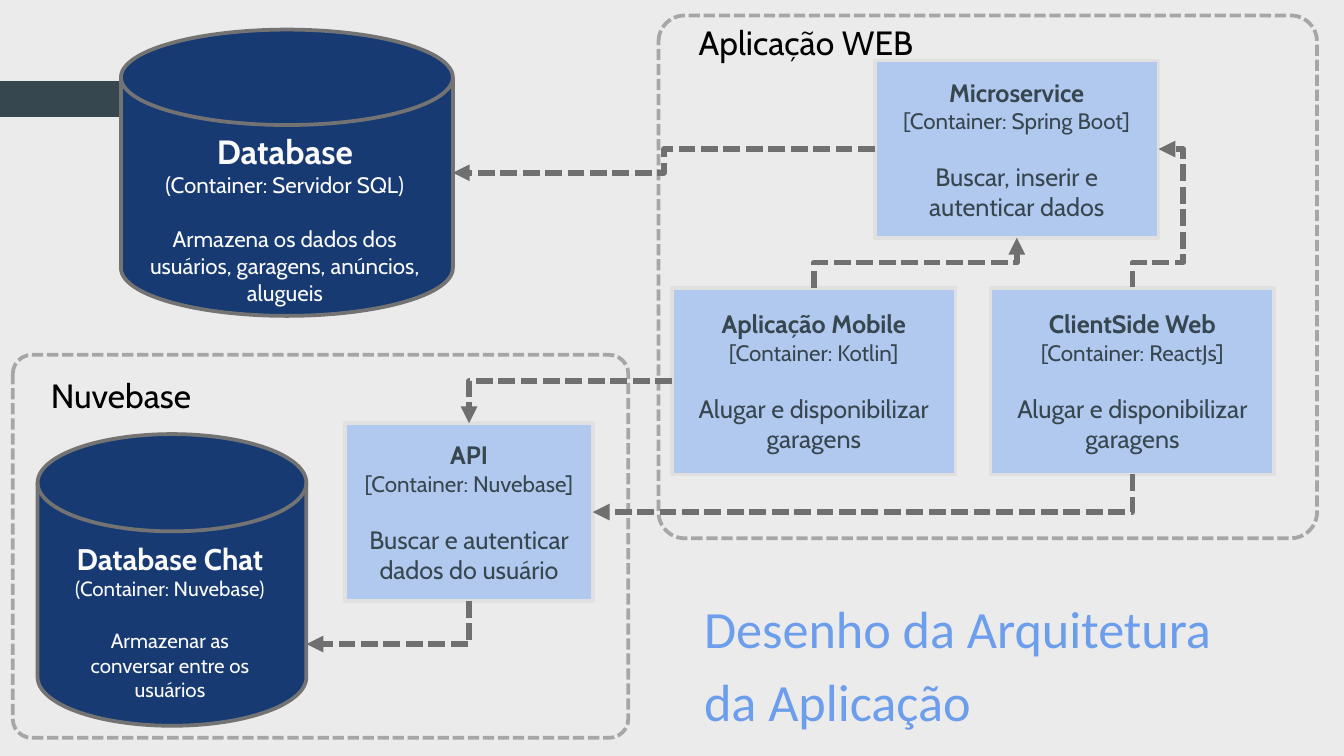
from dataclasses import dataclass
from typing import NamedTuple

from lxml.etree import SubElement
from pptx import Presentation
from pptx.dml.color import RGBColor
from pptx.enum.dml import MSO_LINE
from pptx.enum.shapes import MSO_CONNECTOR, MSO_SHAPE
from pptx.enum.text import MSO_ANCHOR, PP_ALIGN
from pptx.oxml.ns import qn
from pptx.util import Inches, Pt


@dataclass(frozen=True)
class Theme:
    back: str = "EBEBEB"
    slate: str = "37474F"
    navy: str = "173A73"
    sky: str = "B1C9EF"
    title: str = "6D9EEB"
    edge: str = "E0E0E0"
    rim: str = "737373"
    frame: str = "A6A6A6"
    arrow: str = "707070"
    black: str = "000000"
    white: str = "FAFAFA"
    font: str = "Cabin"
    head: str = "Calibri"
    big: float = 28
    label: float = 18
    chat: float = 16
    card: float = 13.5
    note: float = 12
    small: float = 11
    gap: float = 14.6


class Box(NamedTuple):
    """Columns and rows of the grid."""
    x: float
    y: float
    w: float
    h: float


class Line(NamedTuple):
    text: str
    size: float
    bold: bool = False
    gap: float = 0


class Card(NamedTuple):
    box: Box
    name: str
    tech: str
    role: str


class Store(NamedTuple):
    box: Box
    area: Box
    lines: list[Line]


class Group(NamedTuple):
    box: Box
    area: Box
    name: str


class Spot(NamedTuple):
    """A point on a node, in shares of its width and height."""
    node: str
    x: float
    y: float


class Link(NamedTuple):
    start: Spot
    end: Spot
    bends: int
    turns: tuple[float, ...] = ()


T = Theme()
CELL = 0.1  # inches per column and row
COLS, ROWS = 100, 56.25

CARDS = {
    "micro": Card(Box(65.1, 4.5, 21.1, 13.2), "Microservice",
                  "[Container: Spring Boot]", "Buscar, inserir e autenticar dados"),
    "client": Card(Box(73.7, 21.4, 21.1, 13.9), "ClientSide Web",
                   "[Container: ReactJs]", "Alugar e disponibilizar garagens"),
    "mobile": Card(Box(50, 21.4, 21.1, 13.9), "Aplicação Mobile",
                   "[Container: Kotlin]", "Alugar e disponibilizar garagens"),
    "api": Card(Box(25.7, 31.5, 18.4, 13.2), "API",
                "[Container: Nuvebase]", "Buscar e autenticar dados do usuário"),
}
STORES = {
    "data": Store(Box(9, 2.2, 24.7, 21.3), Box(9.7, 9.25, 23, 14.1), [
        Line("Database", T.label, True),
        Line("(Container: Servidor SQL)", T.note),
        Line("Armazena os dados dos usuários, garagens, anúncios, alugueis", T.note, gap=T.gap)]),
    "chat": Store(Box(2.8, 32.3, 20, 21.7), Box(4.1, 39.7, 17.1, 13.1), [
        Line("Database Chat", T.chat, True),
        Line("(Container: Nuvebase)", T.small),
        Line("Armazenar as conversar entre os usuários", T.small, gap=T.gap)]),
}
GROUPS = [
    Group(Box(49, 1.15, 49, 38.9), Box(51, 1.15, 33.2, 4), "Aplicação WEB"),
    Group(Box(0.95, 26.4, 45.8, 28.5), Box(2.8, 27.4, 37.2, 4), "Nuvebase"),
]
LINKS = [
    Link(Spot("mobile", 0.5, 0), Spot("micro", 0.5, 1), 3, (0.5,)),
    Link(Spot("client", 0.5, 0), Spot("micro", 1, 0.5), 4, (0.18, 1.94)),
    Link(Spot("micro", 0, 0.5), Spot("data", 1, 0.5), 3, (0.5,)),
    Link(Spot("mobile", 0, 0.5), Spot("api", 0.5, 0), 2),
    Link(Spot("client", 0.5, 1), Spot("api", 1, 0.5), 2),
    Link(Spot("api", 0.5, 1), Spot("chat", 1, 0.72), 2),
]


def grid(*cells: float) -> list[int]:
    return [Inches(n * CELL) for n in cells]


def ink(code: str) -> RGBColor:
    return RGBColor.from_string(code)


def write(frame, lines: list[Line], color: str, align=PP_ALIGN.CENTER, font: str = T.font) -> None:
    frame.word_wrap = True
    for i, line in enumerate(lines):
        para = frame.paragraphs[0] if i == 0 else frame.add_paragraph()
        para.alignment = align
        para.space_before = Pt(line.gap)
        run = para.add_run()
        run.text = line.text
        run.font.name, run.font.size, run.font.bold = font, Pt(line.size), line.bold
        run.font.color.rgb = ink(color)


def label(slide, box: Box, lines: list[Line], color: str, **style):
    frame = slide.shapes.add_textbox(*grid(*box)).text_frame
    write(frame, lines, color, **style)
    return frame


def draw(slide, kind, box: Box, fill: str | None, edge: str, width: float = 2):
    shape = slide.shapes.add_shape(kind, *grid(*box))
    shape.shadow.inherit = False
    if fill:
        shape.fill.solid()
        shape.fill.fore_color.rgb = ink(fill)
    else:
        shape.fill.background()
    shape.line.color.rgb = ink(edge)
    shape.line.width = Pt(width)
    return shape


def draw_group(slide, group: Group) -> None:
    shape = draw(slide, MSO_SHAPE.ROUNDED_RECTANGLE, group.box, None, T.frame)
    shape.adjustments[0] = 0.05
    shape.line.dash_style = MSO_LINE.SQUARE_DOT
    label(slide, group.area, [Line(group.name, T.label)], T.black, align=PP_ALIGN.LEFT)


def draw_store(slide, store: Store) -> None:
    """Turn a drum upright, so that it fills the store's box."""
    x, y, w, h = store.box
    drum = Box(x + (w - h) / 2, y + (h - w) / 2, h, w)
    draw(slide, MSO_SHAPE.FLOWCHART_DIRECT_ACCESS_STORAGE, drum, T.navy, T.rim).rotation = 270
    label(slide, store.area, store.lines, T.white)


def draw_card(slide, card: Card) -> None:
    frame = draw(slide, MSO_SHAPE.RECTANGLE, card.box, T.sky, T.edge).text_frame
    frame.vertical_anchor = MSO_ANCHOR.MIDDLE
    write(frame, [Line(card.name, T.card, True), Line(card.tech, T.note),
                  Line(card.role, T.card, gap=T.gap)], T.slate)


def place(spot: Spot) -> tuple[float, float]:
    box = (CARDS | STORES)[spot.node].box
    return box.x + spot.x * box.w, box.y + spot.y * box.h


def draw_link(slide, link: Link) -> None:
    """Lay out the elbow unturned about its centre, then turn it to its first leg."""
    (ax, ay), (bx, by) = place(link.start), place(link.end)
    dx, dy = bx - ax, by - ay
    turn, w, h = (180, -dx, -dy) if link.start.x in (0, 1) else (90, dy, -dx)
    mx, my = (ax + bx) / 2, (ay + by) / 2
    wire = slide.shapes.add_connector(
        MSO_CONNECTOR.ELBOW, *grid(mx - w / 2, my - h / 2, mx + w / 2, my + h / 2))
    wire.line.color.rgb = ink(T.arrow)
    wire.line.width = Pt(3)
    wire.line.dash_style = MSO_LINE.SQUARE_DOT
    props = wire._element.spPr
    props.find(qn("a:xfrm")).set("rot", str(turn * 60000))
    shape = props.find(qn("a:prstGeom"))
    shape.set("prst", f"bentConnector{link.bends}")
    for i, share in enumerate(link.turns, 1):
        SubElement(shape.find(qn("a:avLst")), qn("a:gd"),
                   name=f"adj{i}", fmla=f"val {round(share * 100000)}")
    SubElement(props.find(qn("a:ln")), qn("a:tailEnd"), type="triangle")
    SubElement(props, qn("a:effectLst"))


def main() -> None:
    deck = Presentation()
    deck.slide_width, deck.slide_height = grid(COLS, ROWS)
    slide = deck.slides.add_slide(deck.slide_layouts[6])
    slide.background.fill.solid()
    slide.background.fill.fore_color.rgb = ink(T.back)
    draw(slide, MSO_SHAPE.RECTANGLE, Box(0, 6.1, 15.2, 2.6), T.slate, T.slate, 0.75)
    for items, paint in ((GROUPS, draw_group), (STORES.values(), draw_store),
                         (CARDS.values(), draw_card), (LINKS, draw_link)):
        for item in items:
            paint(slide, item)
    title = label(slide, Box(51.4, 42.7, 43.5, 11.8),
                  [Line("Desenho da Arquitetura da Aplicação", T.big)],
                  T.title, align=PP_ALIGN.LEFT, font=T.head)
    title.margin_top = title.margin_bottom = Inches(0.1)
    title.paragraphs[0].line_spacing = 1.15
    deck.save("out.pptx")


if __name__ == "__main__":
    main()
